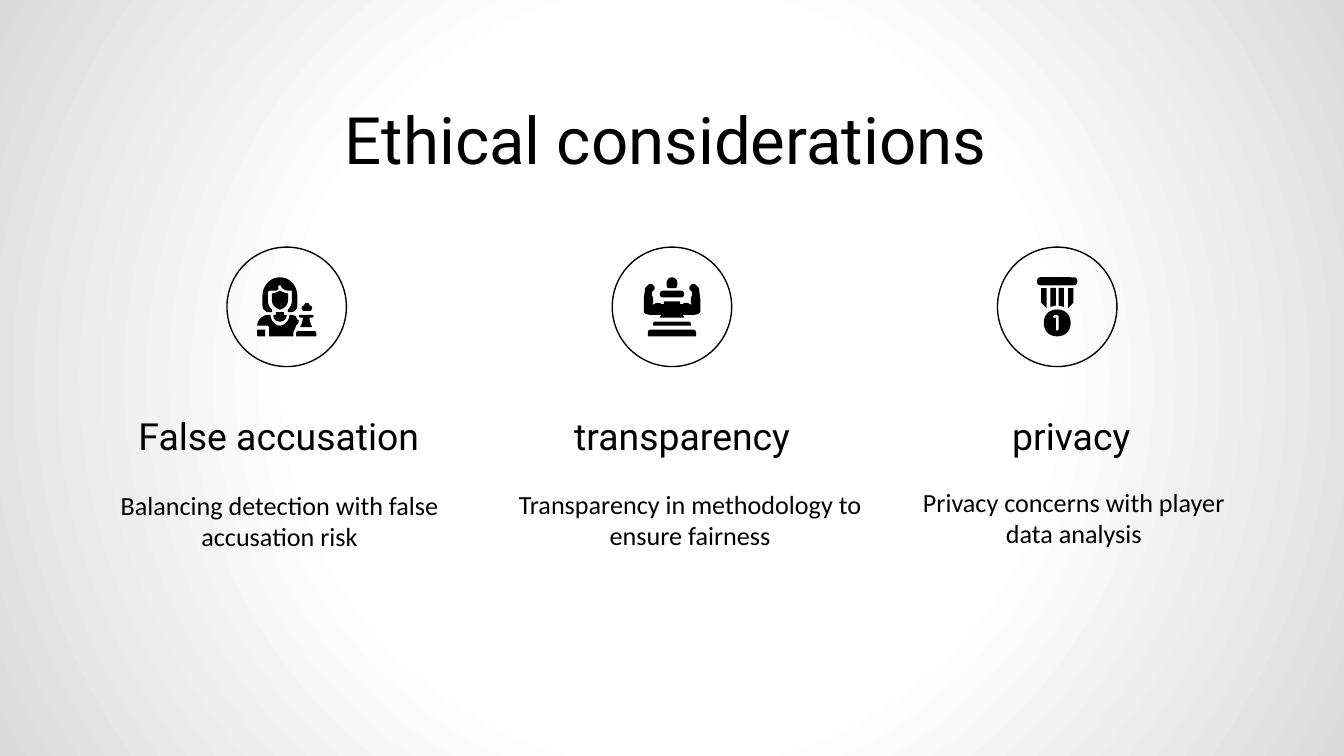
from lxml.etree import SubElement
from pptx import Presentation
from pptx.dml.color import RGBColor
from pptx.enum.shapes import MSO_SHAPE
from pptx.enum.text import MSO_ANCHOR, MSO_AUTO_SIZE, PP_ALIGN
from pptx.oxml.ns import qn
from pptx.util import Pt

GRID = 0.72  # points per icon grid unit
CURVE_STEPS = 8


def color(value):
    return RGBColor.from_string(value)


def trace(*parts):
    """Turn (x, y) corners and six-number Bezier curves into points."""
    points = []
    for part in parts:
        if len(part) == 2:
            points.append(part)
            continue
        controls = [points[-1], part[:2], part[2:4], part[4:]]
        for step in range(1, CURVE_STEPS + 1):
            t = step / CURVE_STEPS
            weights = ((1 - t) ** 3, 3 * t * (1 - t) ** 2, 3 * t * t * (1 - t), t ** 3)
            points.append(tuple(sum(w * c[axis] for w, c in zip(weights, controls))
                                for axis in (0, 1)))
    return points


def flip(points, axis=0):
    return [(2 * axis - x, y) for x, y in reversed(points)]


def mirror(*parts, axis=0):
    """Complete a left half with its reflection."""
    half = trace(*parts)
    return half + flip(half, axis)


class SlideBuilder:
    ink = "000000"
    heading_font = "Roboto"
    body_font = "Calibri"
    inset = 7.2

    def __init__(self, slide):
        self.slide = slide

    def background(self, stops):
        self.slide.background.fill.solid()
        properties = self.slide.element.find(".//" + qn("p:bgPr"))
        properties.remove(properties[0])
        gradient = properties.makeelement(qn("a:gradFill"), {"rotWithShape": "1"})
        properties.insert(0, gradient)
        stop_list = SubElement(gradient, qn("a:gsLst"))
        for position, value in stops:
            stop = SubElement(stop_list, qn("a:gs"), pos=str(position * 1000))
            SubElement(stop, qn("a:srgbClr"), val=value)
        circle = SubElement(gradient, qn("a:path"), {"path": "circle"})
        SubElement(circle, qn("a:fillToRect"), l="50000", t="50000", r="50000", b="50000")

    def fill_text(self, shape, text, size, font, anchor):
        frame = shape.text_frame
        frame.word_wrap = True
        frame.auto_size = MSO_AUTO_SIZE.NONE
        frame.vertical_anchor = anchor
        frame.margin_left = frame.margin_right = Pt(self.inset)
        frame.margin_top = frame.margin_bottom = Pt(self.inset)
        paragraph = frame.paragraphs[0]
        paragraph.alignment = PP_ALIGN.CENTER
        run = paragraph.add_run()
        run.text = text
        run.font.size = Pt(size)
        run.font.name = font
        run.font.color.rgb = color(self.ink)

    def title(self, text, left, top, width, height):
        shape = self.slide.shapes.title
        shape.left, shape.top = Pt(left), Pt(top)
        shape.width, shape.height = Pt(width), Pt(height)
        self.fill_text(shape, text, 35, self.heading_font, MSO_ANCHOR.TOP)

    def text(self, text, left, top, width, height, size, font, anchor=MSO_ANCHOR.TOP):
        shape = self.slide.shapes.add_textbox(Pt(left), Pt(top), Pt(width), Pt(height))
        self.fill_text(shape, text, size, font, anchor)

    def ring(self, center, diameter):
        left, top = (value - diameter / 2 for value in center)
        shape = self.slide.shapes.add_shape(
            MSO_SHAPE.OVAL, Pt(left), Pt(top), Pt(diameter), Pt(diameter))
        shape.shadow.inherit = False
        shape.fill.background()
        shape.line.color.rgb = color(self.ink)
        shape.line.width = Pt(0.75)

    def solid(self, shape):
        shape.shadow.inherit = False
        shape.fill.solid()
        shape.fill.fore_color.rgb = color(self.ink)
        shape.line.fill.background()

    def bar(self, center, left, top, right, bottom, kind=MSO_SHAPE.ROUNDED_RECTANGLE):
        shape = self.slide.shapes.add_shape(
            kind, Pt(center[0] + left * GRID), Pt(center[1] + top * GRID),
            Pt((right - left) * GRID), Pt((bottom - top) * GRID))
        shape.adjustments[0] = 0.4
        self.solid(shape)

    def outline(self, center, *contours):
        """Fill contours given in grid units around the centre."""
        scaled = [[(x * GRID * 100, y * GRID * 100) for x, y in contour]
                  for contour in contours]
        builder = self.slide.shapes.build_freeform(*scaled[0][0], scale=Pt(1) / 100)
        builder.add_line_segments(scaled[0][1:], close=True)
        for contour in scaled[1:]:
            builder.move_to(*contour[0])
            builder.add_line_segments(contour[1:], close=True)
        self.solid(builder.convert_to_shape(Pt(center[0]), Pt(center[1])))


def chess_player_icon(builder, center):
    face = mirror((-5, -12), (-7, -11, -9, -10, -11, -10), (-11, -5),
                  (-11, -2, -9, 1, -5, 2), axis=-5)
    hair = trace((-5, -22), (-12, -22, -18, -16, -18, -8), (-18, -3),
                 (-18, -1, -18, 1, -17, 2), (-16, 3, -15, 4, -14, 4), (-11, 4), (-11, 2),
                 (-13, 0, -14, -2, -14, -5), (-14, -11), (-13, -12), (-8, -12),
                 (-7, -12, -6, -13, -6, -14), (-7, -15, -6, -16, -5, -16),
                 (-5, -16, -4, -16, -4, -15), (-3, -13, -1, -12, 2, -12), (4, -12),
                 (4, -5), (4, -2, 3, 0, 1, 2), (1, 4), (4, 4), (5, 4, 6, 3, 7, 2),
                 (8, 1, 8, -1, 8, -3), (8, -8), (8, -16, 2, -22, -5, -22))
    neck = mirror((-5, 4), (-8, 4), (-8, 6), (-10, 6), (-10, 9, -8, 11, -5, 11), axis=-5)
    sleeve = trace((-22, 17), (-22, 21), (-22, 22, -21, 22, -20, 22), (-16, 22), (-16, 17))
    torso = trace((-14, 6), (-18, 6, -22, 10, -22, 14), (-14, 14), (-14, 14, -13, 15, -13, 16),
                  (-13, 22), (5, 22), (5, 21), (5, 19, 5, 18, 6, 17), (7, 14),
                  (8, 13, 9, 12, 9, 10), (8, 10, 7, 8, 7, 7), (6, 7, 5, 6, 4, 6), (2, 6),
                  (2, 10, -1, 14, -5, 14), (-9, 14, -12, 10, -12, 6))
    piece_body = mirror((11, 6), (10, 6, 9, 6, 9, 7), (9, 8, 10, 8, 11, 8), (12, 8),
                        (12, 11, 11, 13, 10, 15), axis=14.5)
    piece_top = mirror((15, -3), (14, -3, 13, -2, 13, -1), (12, -1, 11, 0, 11, 1),
                       (12, 3), axis=15)
    for part in (face, hair, neck, sleeve, torso, piece_body, piece_top):
        builder.outline(center, part)
    builder.bar(center, 7, 18, 22, 22, MSO_SHAPE.ROUND_2_SAME_RECTANGLE)


def strong_figure_icon(builder, center):
    builder.bar(center, -18, 17, 18, 22, MSO_SHAPE.ROUND_2_SAME_RECTANGLE)
    builder.bar(center, -14, 11, 14, 14, MSO_SHAPE.ROUND_2_SAME_RECTANGLE)
    builder.bar(center, -9, -12, 9, -7)
    head = mirror((0, -22), (-2, -22, -4, -20, -4, -18), (-4, -16, -4, -15, -3, -14))
    arms = mirror((-9, 8), (-9, 7, -8, 7, -8, 6), (-9, 6, -11, 6, -12, 6),
                  (-16, 6, -18, 6, -20, 5), (-21, 4), (-21, -6), (-20, -14), (-18, -16),
                  (-17, -17), (-15, -17), (-14, -16), (-13, -15), (-13, -13), (-15, -11),
                  (-15, -8), (-14, -8, -14, -6, -14, -5), (-14, -4, -14, -3, -15, -1),
                  (-14, -2, -12, -3, -10, -3), (-9, -3, -9, -3, -8, -2),
                  (-8, -2, -7, -2, -6, -2), (-6, -3, -6, -3, -6, -4))
    for part in (head, arms):
        builder.outline(center, part)


def medal_icon(builder, center):
    builder.bar(center, -15, -22, 15, -16)
    outer_ribbon = [(-12, -14), (-8, -14), (-8, 1), (-11, -2), (-12, -3)]
    inner_ribbon = [(-5, -14), (-1, -14), (-1, -1), (-5, 0)]
    for ribbon in (outer_ribbon, inner_ribbon):
        builder.outline(center, ribbon)
        builder.outline(center, flip(ribbon))
    disc = mirror((0, 2), (-6, 2, -10, 6, -10, 12), (-10, 18, -6, 22, 0, 22))
    digit = [(0, 6), (1, 7), (1, 17), (0, 18), (-1, 17), (-1, 8), (-3, 8), (-3, 7), (-2, 6)]
    builder.outline(center, disc, digit)


def main():
    presentation = Presentation()
    presentation.slide_width, presentation.slide_height = Pt(720), Pt(405)
    builder = SlideBuilder(presentation.slides.add_slide(presentation.slide_layouts[5]))

    # Background and title
    builder.background([(0, "FFFFFF"), (48, "FFFFFF"), (100, "DBDBDB")])
    builder.title("Ethical considerations", 53.3, 46.1, 607, 45.4)

    # Columns: icon, heading (left, width), description (left, top, width)
    columns = [
        (chess_player_icon, "False accusation", (41.8, 215.3),
         "Balancing detection with false accusation risk", (56.9, 254.9, 185.8)),
        (strong_figure_icon, "transparency", (265, 200.9),
         "Transparency in methodology to ensure fairness", (265.7, 254.2, 208.1)),
        (medal_icon, "privacy", (481, 185.8),
         "Privacy concerns with player data analysis", (482.4, 253.4, 185.8)),
    ]
    for index, (icon, heading, heading_box, description, box) in enumerate(columns):
        center = (153.6 + 206.4 * index, 164.4)
        left, width = heading_box
        builder.text(heading, left, 221, width, 31.7, 20, builder.heading_font,
                     MSO_ANCHOR.BOTTOM)
        builder.text(description, *box, 68.4, 14, builder.body_font)
        builder.ring(center, 64)
        icon(builder, center)

    presentation.save("out.pptx")


if __name__ == "__main__":
    main()
